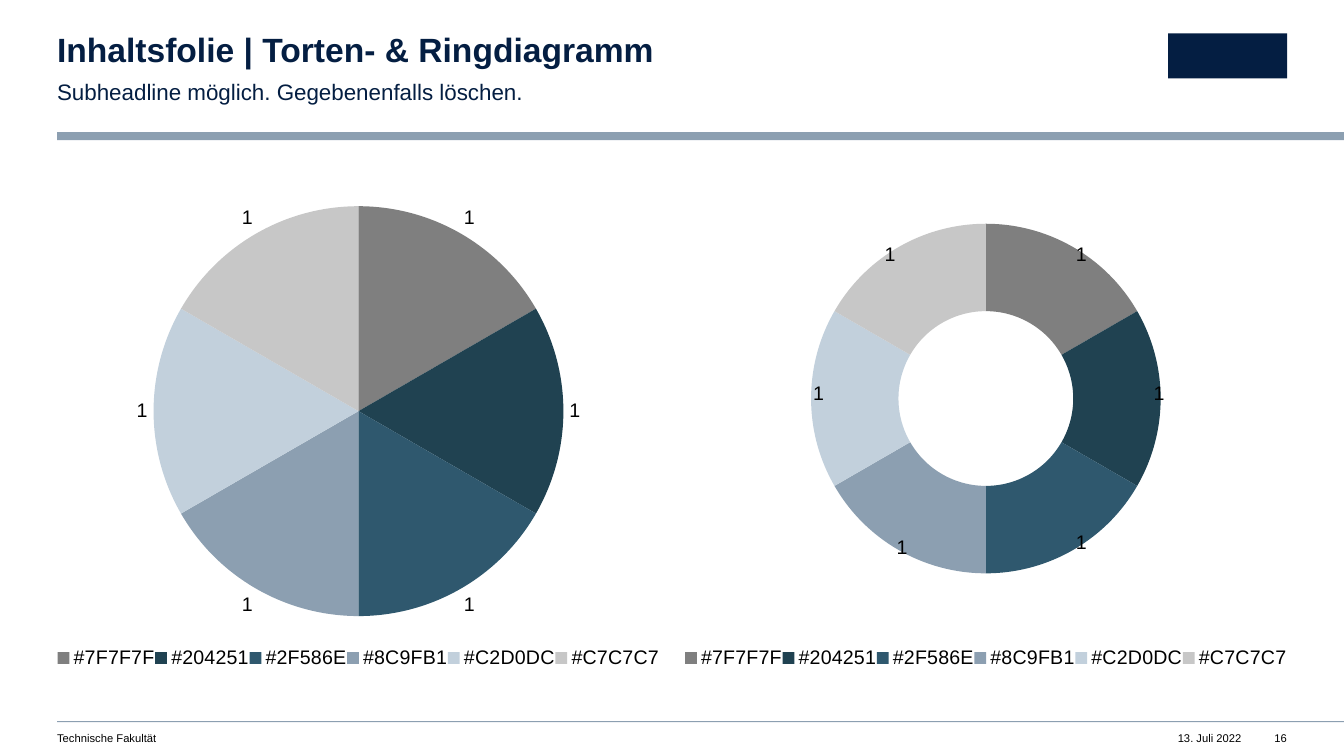
from lxml import etree
from pptx import Presentation
from pptx import util as u
from pptx.chart.data import CategoryChartData
from pptx.dml.color import RGBColor
from pptx.enum import chart as ch
from pptx.enum import shapes, text
from pptx.oxml.ns import qn

INK = {"navy": "041E42", "steel": "8C9FB1", "black": "000000"}
HUES = ["7F7F7F", "204251", "2F586E", "8C9FB1", "C2D0DC", "C7C7C7"]
SHIFTS = [(0.05, -0.06), (0.07, -0.01), (0.05, 0.06),
          (-0.03, 0.07), (-0.06, -0.01), (-0.05, -0.06)]


def style(font, size, ink="black", bold=False):
    font.name = "Arial"
    font.size = u.Pt(size)
    font.bold = bold
    font.color.rgb = RGBColor.from_string(INK[ink])


def write(frame, words, size=8, ink="black", bold=False, align="LEFT",
          wrap=True, right=0, lead=None, after=0):
    frame.margin_left = frame.margin_top = frame.margin_bottom = 0
    frame.margin_right = u.Cm(right)
    frame.word_wrap = wrap
    frame.auto_size = text.MSO_AUTO_SIZE.SHAPE_TO_FIT_TEXT
    para = frame.paragraphs[0]
    para.alignment = getattr(text.PP_ALIGN, align)
    para.space_after = u.Pt(after)
    if lead:
        para.line_spacing = lead
    run = para.add_run()
    run.text = words
    style(run.font, size, ink, bold)


def place(spot, index, **sizes):
    node = etree.Element(qn("c:layout"))
    manual = etree.SubElement(node, qn("c:manualLayout"))
    for tag, val in sizes.items():
        etree.SubElement(manual, qn("c:" + tag)).set("val", str(val))
    for old in spot.findall(qn("c:layout")):
        spot.remove(old)
    spot.insert(index, node)


class Page:
    def __init__(self, deck):
        self.slide = deck.slides.add_slide(deck.slide_layouts[6])
        self.items = self.slide.shapes

    def bar(self, *box, ink="steel"):
        shape = self.items.add_shape(shapes.MSO_SHAPE.RECTANGLE, *map(u.Cm, box))
        shape.shadow.inherit = False
        shape.fill.solid()
        shape.fill.fore_color.rgb = RGBColor.from_string(INK[ink])
        shape.line.fill.background()

    def label(self, words, *box, **form):
        write(self.items.add_textbox(*map(u.Cm, box)).text_frame, words, **form)

    def round(self, kind, left, x, y, w, h):
        data = CategoryChartData()
        data.categories = ["#" + hue for hue in HUES]
        data.add_series("Series 1", [1] * len(HUES))
        box = map(u.Cm, (left, 4.52, 15.19, 12.7))
        chart = self.items.add_chart(kind, *box, data).chart
        style(chart.font, 10)
        chart.has_title = False
        chart.has_legend = True
        chart.legend.position = ch.XL_LEGEND_POSITION.BOTTOM
        chart.legend.include_in_layout = False
        style(chart.legend.font, 14)
        plot = chart.plots[0]
        plot.vary_by_categories = True
        series = plot.series[0]
        for index, hue in enumerate(HUES):
            form = series.points[index].format
            form.fill.solid()
            form.fill.fore_color.rgb = RGBColor.from_string(hue)
            form.line.fill.background()
        marks = series.data_labels
        marks.show_value = True
        marks.show_percentage = False
        style(marks.font, 14)
        root = chart.element
        place(next(root.iter(qn("c:legend"))), 1, xMode="edge", yMode="edge",
              x=0, y=0.92, w=1, h=0.06)
        place(next(root.iter(qn("c:plotArea"))), 0, layoutTarget="inner",
              xMode="edge", yMode="edge", x=x, y=y, w=w, h=h)
        return chart

    def pie(self, left):
        chart = self.round(ch.XL_CHART_TYPE.PIE, left, 0.16, 0.05, 0.68, 0.82)
        marks = chart.plots[0].series[0].data_labels
        marks.position = ch.XL_LABEL_POSITION.OUTSIDE_END

    def ring(self, left):
        chart = self.round(ch.XL_CHART_TYPE.DOUGHNUT, left, 0.21, 0.08, 0.58, 0.71)
        series = chart.plots[0].series[0]
        for index in range(len(HUES)):
            style(series.points[index].data_label.font, 14)
        root = chart.element
        for node, (x, y) in zip(root.iter(qn("c:dLbl")), SHIFTS):
            place(node, 1, x=x, y=y)
        next(root.iter(qn("c:holeSize"))).set("val", "80")


def main():
    deck = Presentation()
    deck.slide_width, deck.slide_height = u.Cm(33.87), u.Cm(19.05)
    page = Page(deck)
    edge = 1.44
    page.bar(edge, 3.33, 32.43, 0.2)
    page.bar(edge, 18.17, 32.43, 0.03)
    page.bar(29.44, 0.84, 3, 1.14, ink="navy")
    page.label("13. Juli 2022", 28.93, 18.44, 2.36, 0.33, align="RIGHT", wrap=False)
    page.label("16", 31.9, 18.44, 0.53, 0.33, align="RIGHT", wrap=False)
    page.pie(edge)
    page.label("Inhaltsfolie | Torten- & Ringdiagramm", edge, 0.84, 19.02, 0.91,
               size=24, ink="navy", bold=True, lead=0.9)
    page.ring(17.25)
    page.label("Subheadline möglich. Gegebenenfalls löschen.", edge, 1.9, 19.02, 0.69,
               size=16, ink="navy", right=1, lead=1.1, after=12)
    page.label("Technische Fakultät", edge, 18.44, 15.19, 0.33)
    deck.save("out.pptx")


if __name__ == "__main__":
    main()
